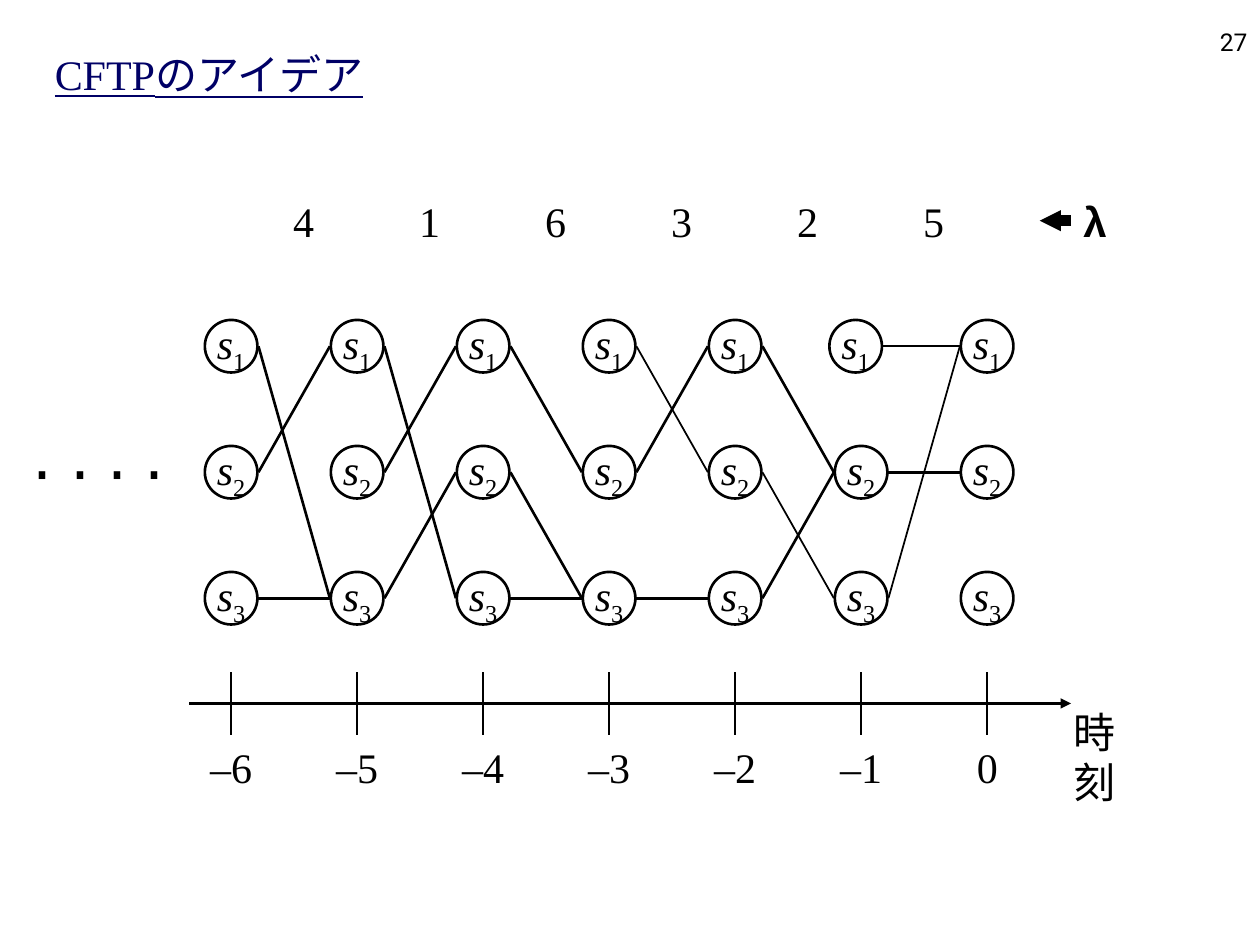
from lxml import etree
from pptx import Presentation
from pptx.dml.color import RGBColor
from pptx.enum.shapes import MSO_CONNECTOR, MSO_SHAPE
from pptx.enum.text import MSO_ANCHOR, MSO_AUTO_SIZE, PP_ALIGN
from pptx.oxml.ns import qn
from pptx.util import Cm, Pt

LEFT, MID, RIGHT = PP_ALIGN.LEFT, PP_ALIGN.CENTER, PP_ALIGN.RIGHT
TOP, CORE, BASE = MSO_ANCHOR.TOP, MSO_ANCHOR.MIDDLE, MSO_ANCHOR.BOTTOM
FIT, FIXED = MSO_AUTO_SIZE.SHAPE_TO_FIT_TEXT, MSO_AUTO_SIZE.NONE
OVAL, STRAIGHT = MSO_SHAPE.OVAL, MSO_CONNECTOR.STRAIGHT

INK, NAVY = "000000", "000066"
SERIF = {"name": "Times New Roman", "size": Pt(24)}

# Grid of states, in centimetres
STEP = 2.54
LEFT_X, TOP_Y = 4.66, 6.98
SIZE, REACH = 1.06, 0.55
xs = [LEFT_X + STEP * i for i in range(7)]
ys = [TOP_Y + STEP * i for i in range(3)]
SHIFT = {(5, 0): -0.11}  # the one state set slightly to the left

# For each time step, the row that each state moves to
MOVES = [(2, 0, 2), (2, 0, 1), (1, 2, 2), (1, 0, 2), (1, 2, 1), (0, 1, 0)]
THIN = {(3, 0), (4, 1), (5, 0), (5, 2)}

deck = Presentation()
deck.slide_width, deck.slide_height = Cm(25.4), Cm(19.05)
slide = deck.slides.add_slide(deck.slide_layouts[5])
shapes = slide.shapes


def write(shape, text, look, align=LEFT, anchor=CORE, fit=FIT, wrap=False,
          color=INK, sub=""):
    frame = shape.text_frame
    form = {"word_wrap": wrap, "auto_size": fit, "vertical_anchor": anchor}
    for key, value in form.items():
        setattr(frame, key, value)
    para = frame.paragraphs[0]
    para.alignment = align
    for part in filter(None, (text, sub)):
        run = para.add_run()
        run.text = part
        for key, value in look.items():
            setattr(run.font, key, value)
        run.font.color.rgb = RGBColor.from_string(color)
    if sub:
        run.font.italic = False
        run.font._element.set("baseline", "-25000")


def draw(x1, y1, x2, y2, width=1.5, head=None):
    line = shapes.add_connector(STRAIGHT, Cm(x1), Cm(y1), Cm(x2), Cm(y2))
    line.line.color.rgb = RGBColor.from_string(INK)
    line.line.width = Pt(width)
    if head:
        tail = etree.SubElement(line.line._get_or_add_ln(), qn("a:tailEnd"))
        for key, value in {"type": "triangle", "w": head, "len": head}.items():
            tail.set(key, value)
    etree.SubElement(line._element.spPr, qn("a:effectLst"))


# Title
title = shapes.title
place = {"left": Cm(0.85), "top": Cm(0.85), "width": Cm(21.64), "height": Cm(1.28)}
for key, value in place.items():
    setattr(title, key, value)
write(title, "CFTPのアイデア", {**SERIF, "underline": True},
      anchor=BASE, wrap=True, color=NAVY)

# Time axis with ticks and labels
draw(3.81, 14.18, 21.59, 14.18, head="med")
for i, x in enumerate(xs):
    draw(x, 13.55, x, 14.82)
    label, wide = (f"–{6 - i}", 1.35) if i < 6 else ("0", 0.91)
    box = shapes.add_textbox(Cm(x - wide / 2), Cm(14.82), Cm(wide), Cm(1.28))
    write(box, label, SERIF)
box = shapes.add_textbox(Cm(21.39), Cm(14.61), Cm(2.18), Cm(1.28))
write(box, "時刻", SERIF)

# Random numbers between the times
for x, digit in zip(xs, "416325"):
    box = shapes.add_textbox(Cm(x + 1), Cm(3.81), Cm(0.91), Cm(1.28))
    write(box, digit, SERIF)
box = shapes.add_textbox(Cm(21.59), Cm(3.81), Cm(0.97), Cm(1.28))
write(box, "λ", {"name": "Arial", "size": Pt(24), "bold": True})
draw(21.59, 4.45, 20.96, 4.45, 6, "sm")

# States
for i, x in enumerate(xs):
    for j, y in enumerate(ys):
        left = x + SHIFT.get((i, j), 0) - SIZE / 2
        state = shapes.add_shape(OVAL, Cm(left), Cm(y - SIZE / 2), Cm(SIZE), Cm(SIZE))
        state.shadow.inherit = False
        state.fill.background()
        state.line.color.rgb = RGBColor.from_string(INK)
        state.line.width = Pt(1.5)
        write(state, "s", {**SERIF, "italic": True}, MID, fit=FIXED, sub=str(j + 1))

# Moves from each time to the next
for i, rows in enumerate(MOVES):
    for j, goal in enumerate(rows):
        start = xs[i] + SHIFT.get((i, j), 0) + REACH
        draw(start, ys[j], xs[i + 1] - REACH, ys[goal], 1 if (i, j) in THIN else 1.5)

# Earlier times
box = shapes.add_textbox(Cm(-0.15), Cm(8.64), Cm(4.29), Cm(1.78))
write(box, "⋅ ⋅ ⋅ ⋅", {"name": "Arial", "size": Pt(36)}, MID, TOP)

# Page number
box = shapes.add_textbox(Cm(20.12), Cm(0), Cm(5.28), Cm(1.27))
write(box, "27", {"name": "Roboto", "size": Pt(14)}, RIGHT, BASE, FIXED, True)

deck.save("out.pptx")
